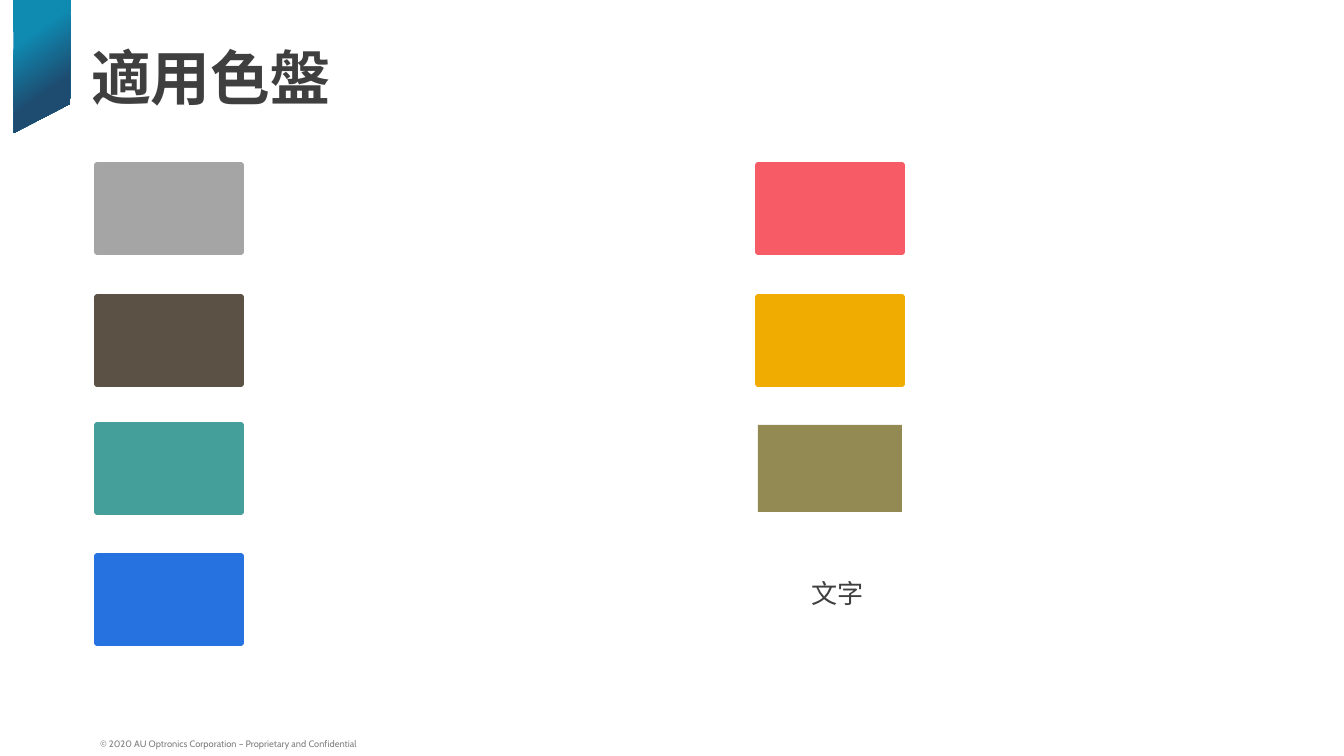
from dataclasses import dataclass

import pptx
import pptx.dml.color
import pptx.enum.text
import pptx.util
from pptx.dml.color import RGBColor
from pptx.enum.shapes import MSO_SHAPE
from pptx.enum.text import MSO_ANCHOR, MSO_AUTO_SIZE, PP_ALIGN

EMU_PER_PX = 914400 / 134.4
FONT = "Cabin"
TEXT = RGBColor(0x3F, 0x3F, 0x3F)
FOOTER = RGBColor(0x7F, 0x7F, 0x7F)
RIBBON_TEAL = RGBColor(0x0F, 0x8A, 0xB1)
RIBBON_NAVY = RGBColor(0x1E, 0x4B, 0x70)
GREY = RGBColor(0xA5, 0xA5, 0xA5)
BROWN = RGBColor(0x5B, 0x52, 0x45)
TEAL = RGBColor(0x44, 0x9E, 0x9A)
BLUE = RGBColor(0x27, 0x72, 0xE1)
RED = RGBColor(0xF7, 0x5B, 0x66)
AMBER = RGBColor(0xF1, 0xAC, 0x01)
OLIVE = RGBColor(0x93, 0x89, 0x53)

COLUMN_LEFTS = (97, 758)
ROW_TOPS = (165, 297, 425, 556)
SWATCH_WIDTH, SWATCH_HEIGHT = 144, 87
RIBBON_POINTS = ((14, 133), (70, 104), (71, -12), (13, -12))


@dataclass(frozen=True)
class Swatch:
    column: int
    row: int
    color: RGBColor
    outlined: bool = True


SWATCHES = (
    Swatch(0, 0, GREY),
    Swatch(0, 1, BROWN),
    Swatch(0, 2, TEAL),
    Swatch(0, 3, BLUE),
    Swatch(1, 0, RED),
    Swatch(1, 1, AMBER),
    Swatch(1, 2, OLIVE, outlined=False),
)


def px(length: int) -> int:
    return pptx.util.Emu(round(length * EMU_PER_PX))


def write_text(box, text: str, *, size: int, color: RGBColor, bold: bool = False,
               anchor=MSO_ANCHOR.TOP, wrap: bool = True, side_inset: int = 13,
               line_spacing: float = 1.0, auto_size=MSO_AUTO_SIZE.NONE) -> None:
    frame = box.text_frame
    frame.auto_size = auto_size
    frame.word_wrap = wrap
    frame.vertical_anchor = anchor
    frame.margin_left = frame.margin_right = px(side_inset)
    frame.margin_top = frame.margin_bottom = px(7)
    para = frame.paragraphs[0]
    para.alignment = PP_ALIGN.LEFT
    para.line_spacing = line_spacing
    span = para.add_run()
    span.text = text
    span.font.name = FONT
    span.font.size = pptx.util.Pt(size)
    span.font.bold = bold
    span.font.color.rgb = color


def add_ribbon(page) -> None:
    builder = page.shapes.build_freeform(*RIBBON_POINTS[0], scale=EMU_PER_PX)
    builder.add_line_segments(RIBBON_POINTS[1:], close=True)
    ribbon = builder.convert_to_shape()
    ribbon.shadow.inherit = False
    ribbon.line.fill.background()
    ribbon.fill.gradient()
    ribbon.fill.gradient_angle = 305
    stops = ((0.32, RIBBON_TEAL), (0.7, RIBBON_NAVY))
    for stop, (position, color) in zip(ribbon.fill.gradient_stops, stops):
        stop.position = position
        stop.color.rgb = color


def add_swatch(page, swatch: Swatch) -> None:
    box = page.shapes.add_shape(
        MSO_SHAPE.RECTANGLE, px(COLUMN_LEFTS[swatch.column]), px(ROW_TOPS[swatch.row]),
        px(SWATCH_WIDTH), px(SWATCH_HEIGHT))
    box.shadow.inherit = False
    box.fill.solid()
    box.fill.fore_color.rgb = swatch.color
    if swatch.outlined:
        box.line.color.rgb = swatch.color
        box.line.width = pptx.util.Pt(3)
    else:
        box.line.fill.background()


def main() -> None:
    deck = pptx.Presentation()
    deck.slide_width, deck.slide_height = px(1344), px(756)
    page = deck.slides.add_slide(deck.slide_layouts[5])

    add_ribbon(page)
    footer = page.shapes.add_textbox(px(89), px(732), px(504), px(24))
    write_text(footer, "© 2020 AU Optronics Corporation – Proprietary and Confidential",
               size=5, color=FOOTER, anchor=MSO_ANCHOR.BOTTOM, side_inset=11,
               line_spacing=0.8)

    title = page.shapes.title
    title.left, title.top, title.width, title.height = px(78), px(34), px(1083), px(172)
    write_text(title, "適用色盤", size=32, color=TEXT, bold=True)

    for swatch in SWATCHES:
        add_swatch(page, swatch)

    label = page.shapes.add_textbox(px(798), px(570), px(79), px(46))
    write_text(label, "文字", size=14, color=TEXT, wrap=False,
               auto_size=MSO_AUTO_SIZE.SHAPE_TO_FIT_TEXT)
    deck.save("out.pptx")


if __name__ == "__main__":
    main()
